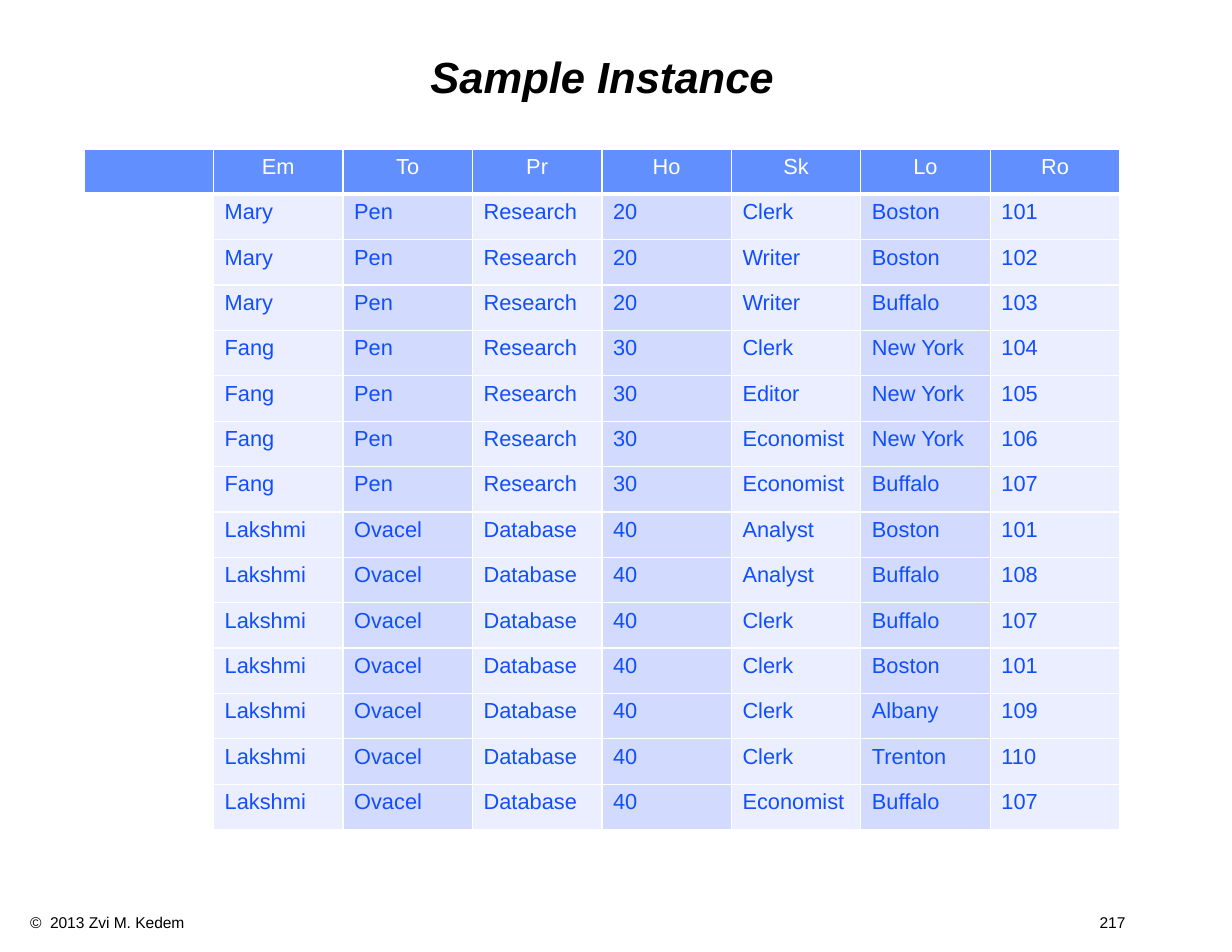
from lxml import etree
from pptx import Presentation
from pptx.dml.color import RGBColor
from pptx.enum.text import MSO_ANCHOR, PP_ALIGN
from pptx.oxml.ns import qn
from pptx.util import Inches, Pt

BLACK = RGBColor(0x00, 0x00, 0x00)
WHITE = RGBColor(0xFF, 0xFF, 0xFF)
HEADER_BLUE = RGBColor(0x61, 0x8F, 0xFD)
TEXT_BLUE = RGBColor(0x11, 0x4F, 0xFB)
LIGHT_BAND = RGBColor(0xEA, 0xEE, 0xFF)
DARK_BAND = RGBColor(0xD2, 0xDB, 0xFE)

CENTER = PP_ALIGN.CENTER
LEFT = PP_ALIGN.LEFT
MIDDLE = MSO_ANCHOR.MIDDLE
TOP = MSO_ANCHOR.TOP

TITLE_FONT = {"name": "Arial", "size": Pt(28), "bold": True, "italic": True}
CELL_FONT = {"name": "Arial", "size": Pt(14), "bold": False}
FOOTER_FONT = {"name": "Arial", "size": Pt(10)}

HEADINGS = ["", "Em", "To", "Pr", "Ho", "Sk", "Lo", "Ro"]
EMPLOYEES = [
    (["Mary", "Pen", "Research", "20"], [
        ("Clerk", "Boston", "101"),
        ("Writer", "Boston", "102"),
        ("Writer", "Buffalo", "103"),
    ]),
    (["Fang", "Pen", "Research", "30"], [
        ("Clerk", "New York", "104"),
        ("Editor", "New York", "105"),
        ("Economist", "New York", "106"),
        ("Economist", "Buffalo", "107"),
    ]),
    (["Lakshmi", "Ovacel", "Database", "40"], [
        ("Analyst", "Boston", "101"),
        ("Analyst", "Buffalo", "108"),
        ("Clerk", "Buffalo", "107"),
        ("Clerk", "Boston", "101"),
        ("Clerk", "Albany", "109"),
        ("Clerk", "Trenton", "110"),
        ("Economist", "Buffalo", "107"),
    ]),
]


def write(paragraph, text, font_format, color, alignment=LEFT):
    """Add one formatted run to a paragraph."""
    paragraph.alignment = alignment
    run = paragraph.add_run()
    run.text = text
    for attribute, value in font_format.items():
        setattr(run.font, attribute, value)
    run.font.color.rgb = color


def add_text_frame(slide, box, anchor):
    """Add a wrapping text box and return its frame."""
    frame = slide.shapes.add_textbox(*map(Inches, box)).text_frame
    frame.word_wrap = True
    frame.vertical_anchor = anchor
    return frame


def add_title(slide, box, text):
    """Place the centred slide title in the box."""
    paragraph = add_text_frame(slide, box, MIDDLE).paragraphs[0]
    paragraph.line_spacing = 0.9
    write(paragraph, text, TITLE_FONT, BLACK, CENTER)


def add_footer(slide, box, copyright_line, number, number_offset):
    """Place the copyright line and, at a tab stop, the slide number."""
    paragraph = add_text_frame(slide, box, TOP).paragraphs[0]
    tabs = etree.SubElement(paragraph._p.get_or_add_pPr(), qn("a:tabLst"))
    etree.SubElement(tabs, qn("a:tab"), pos=str(Inches(number_offset)), algn="l")
    write(paragraph, f"{copyright_line}\t{number}", FOOTER_FONT, BLACK)


def set_borders(cell, bottom_width):
    """Draw white borders around a cell."""
    properties = cell._tc.get_or_add_tcPr()
    for side, width in {"L": 1, "R": 1, "T": 1, "B": bottom_width}.items():
        line = etree.SubElement(properties, qn(f"a:ln{side}"), w=str(Pt(width)))
        fill = etree.SubElement(line, qn("a:solidFill"))
        etree.SubElement(fill, qn("a:srgbClr"), val=str(WHITE))


def body_fill(column):
    """Return the fill of a body cell in the given column."""
    if column == 0:
        return WHITE
    return LIGHT_BAND if column % 2 else DARK_BAND


def add_instance_table(slide, box, rows):
    """Fill the box with an even grid: a header row and banded columns."""
    left, top, width, height = map(Inches, box)
    table = slide.shapes.add_table(
        len(rows), len(rows[0]), left, top, width, height).table
    for column in table.columns:
        column.width = width // len(rows[0])
    for row in table.rows:
        row.height = height // len(rows)
    for row_index, values in enumerate(rows):
        is_header = row_index == 0
        for column_index, value in enumerate(values):
            cell = table.cell(row_index, column_index)
            set_borders(cell, 3 if is_header else 1)
            cell.fill.solid()
            cell.fill.fore_color.rgb = (
                HEADER_BLUE if is_header else body_fill(column_index))
            if value:
                write(cell.text_frame.paragraphs[0], value, CELL_FONT,
                      WHITE if is_header else TEXT_BLUE,
                      CENTER if is_header else LEFT)


def main():
    """Build the slide and save the presentation."""
    presentation = Presentation()
    presentation.slide_width = Inches(11)
    presentation.slide_height = Inches(8.5)
    slide = presentation.slides.add_slide(presentation.slide_layouts[6])
    rows = [HEADINGS] + [
        ["", *employee, *job] for employee, jobs in EMPLOYEES for job in jobs]
    add_footer(slide, (0.17, 8.1, 10.34, 0.27), "©  2013 Zvi M. Kedem", 217, 9.55)
    add_title(slide, (0.75, 0.25, 9.25, 0.92), "Sample Instance")
    add_instance_table(slide, (0.75, 1.33, 9.25, 6.08), rows)
    presentation.save("out.pptx")


if __name__ == "__main__":
    main()
